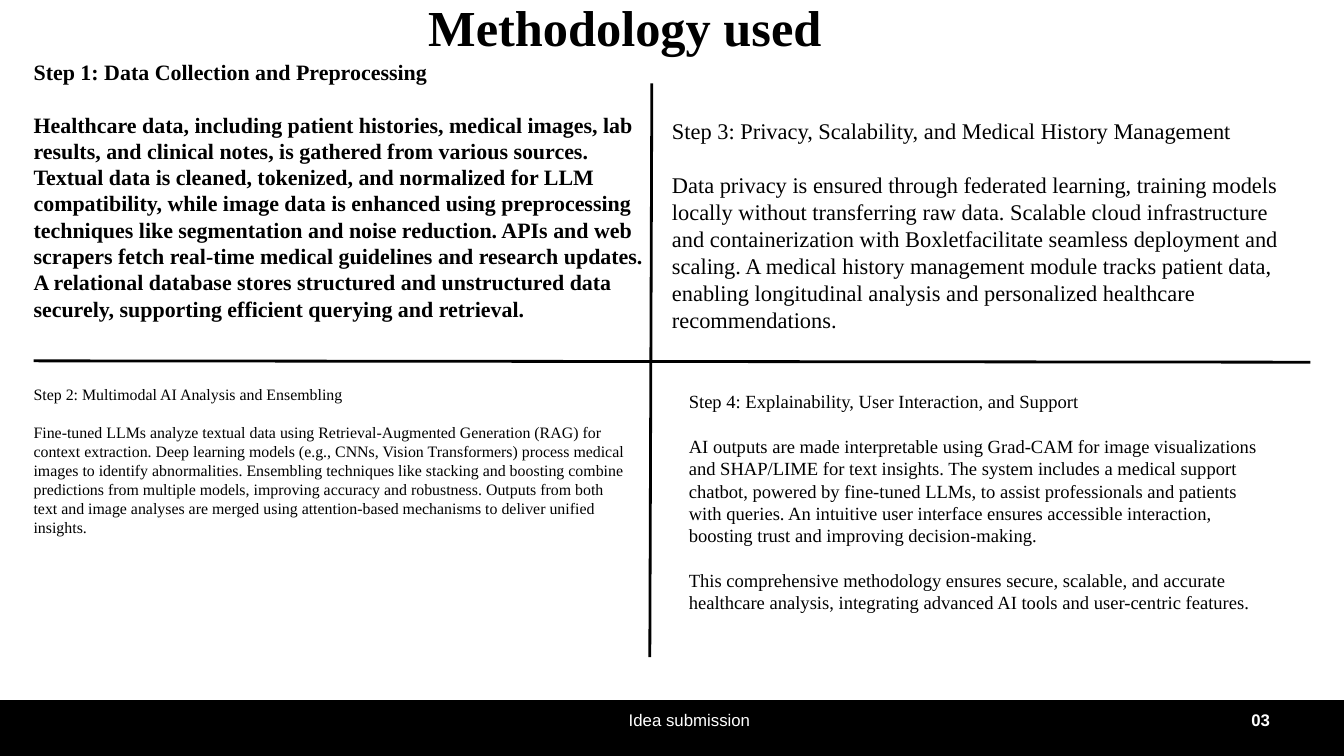
import pptx
import pptx.dml.color
import pptx.enum.shapes
import pptx.enum.text
import pptx.oxml.ns
import pptx.util
from lxml import etree

Inches = pptx.util.Inches
ALIGN = pptx.enum.text.PP_ALIGN
COLORS = {"ink": "000000", "paper": "FFFFFF"}
SERIF = "Times New Roman"
SANS = "Arial"

STEPS = [
    {
        "box": (0.5, 0.87, 9.17, 4.3), "size": 23.5, "leading": 28.2, "bold": True,
        "paragraphs": [
            "Step 1: Data Collection and Preprocessing",
            "Healthcare data, including patient histories, medical images, lab results, and "
            "clinical notes, is gathered from various sources. Textual data is cleaned, "
            "tokenized, and normalized for LLM compatibility, while image data is enhanced "
            "using preprocessing techniques like segmentation and noise reduction. APIs and "
            "web scrapers fetch real-time medical guidelines and research updates. A "
            "relational database stores structured and unstructured data securely, "
            "supporting efficient querying and retrieval.",
        ],
    },
    {
        "box": (0.5, 5.72, 8.9, 2.57), "size": 17, "leading": 20.4,
        "paragraphs": [
            "Step 2: Multimodal AI Analysis and Ensembling",
            "Fine-tuned LLMs analyze textual data using Retrieval-Augmented Generation (RAG) "
            "for context extraction. Deep learning models (e.g., CNNs, Vision Transformers) "
            "process medical images to identify abnormalities. Ensembling techniques like "
            "stacking and boosting combine predictions from multiple models, improving "
            "accuracy and robustness. Outputs from both text and image analyses are merged "
            "using attention-based mechanisms to deliver unified insights.",
        ],
    },
    {
        "box": (10, 1.74, 9.33, 3.22), "size": 24, "leading": 28.9,
        "paragraphs": [
            "Step 3: Privacy, Scalability, and Medical History Management",
            "Data privacy is ensured through federated learning, training models locally "
            "without transferring raw data. Scalable cloud infrastructure and "
            "containerization with Boxletfacilitate seamless deployment and scaling. A "
            "medical history management module tracks patient data, enabling longitudinal "
            "analysis and personalized healthcare recommendations.",
        ],
    },
    {
        "box": (10.25, 5.81, 8.67, 3.97), "size": 19.9, "leading": 23.9,
        "paragraphs": [
            "Step 4: Explainability, User Interaction, and Support",
            "AI outputs are made interpretable using Grad-CAM for image visualizations and "
            "SHAP/LIME for text insights. The system includes a medical support chatbot, "
            "powered by fine-tuned LLMs, to assist professionals and patients with queries. "
            "An intuitive user interface ensures accessible interaction, boosting trust and "
            "improving decision-making.",
            "This comprehensive methodology ensures secure, scalable, and accurate "
            "healthcare analysis, integrating advanced AI tools and user-centric features.",
        ],
    },
]


class SlideBuilder:
    def __init__(self, slide):
        self.slide = slide

    def color(self, name):
        return pptx.dml.color.RGBColor.from_string(COLORS[name])

    def background(self, color):
        fill = self.slide.background.fill
        fill.solid()
        fill.fore_color.rgb = self.color(color)

    def band(self, box, color):
        shape = self.slide.shapes.add_shape(
            pptx.enum.shapes.MSO_SHAPE.RECTANGLE, *map(Inches, box))
        shape.shadow.inherit = False
        shape.fill.solid()
        shape.fill.fore_color.rgb = self.color(color)
        shape.line.fill.background()

    def line(self, start, end, color="ink", width=3):
        connector = self.slide.shapes.add_connector(
            pptx.enum.shapes.MSO_CONNECTOR.STRAIGHT, *map(Inches, start + end))
        connector.line.color.rgb = self.color(color)
        connector.line.width = pptx.util.Pt(width)
        properties = connector.element.find(pptx.oxml.ns.qn("p:spPr"))
        etree.SubElement(properties, pptx.oxml.ns.qn("a:effectLst"))

    def title(self, box, text, **style):
        shape = self.slide.shapes.title
        shape.left, shape.top, shape.width, shape.height = map(Inches, box)
        self.fill_text(shape.text_frame, [text], **style)

    def text(self, box, paragraphs, **style):
        shape = self.slide.shapes.add_textbox(*map(Inches, box))
        self.fill_text(shape.text_frame, paragraphs, **style)

    def fill_text(self, frame, paragraphs, size, leading, font=SERIF, color="ink",
                  bold=False, align=ALIGN.LEFT):
        frame.margin_left = frame.margin_right = 0
        frame.margin_top = frame.margin_bottom = 0
        frame.word_wrap = True
        frame.auto_size = pptx.enum.text.MSO_AUTO_SIZE.NONE
        frame.vertical_anchor = pptx.enum.text.MSO_ANCHOR.TOP
        for index, text in enumerate(paragraphs):
            paragraph = frame.add_paragraph() if index else frame.paragraphs[0]
            paragraph.alignment = align
            paragraph.line_spacing = pptx.util.Pt(leading)
            paragraph.space_before = pptx.util.Pt(leading if index else 0)
            run = paragraph.add_run()
            run.text = text
            run.font.name = font
            run.font.size = pptx.util.Pt(size)
            run.font.bold = bold
            run.font.color.rgb = self.color(color)


def main():
    presentation = pptx.Presentation()
    presentation.slide_width = Inches(20)
    presentation.slide_height = Inches(11.25)
    builder = SlideBuilder(presentation.slides.add_slide(presentation.slide_layouts[5]))

    builder.background("paper")
    builder.band((0, 10.42, 20, 0.83), "ink")
    builder.title((0.4, -0.06, 17.8, 1.89), "Methodology used",
                  size=54, leading=64.8, bold=True, align=ALIGN.CENTER)
    builder.line((0.5, 5.37), (19.5, 5.39))
    builder.line((9.67, 9.78), (9.7, 1.24))
    for step in STEPS:
        builder.text(**step)

    footer = {"size": 18, "leading": 21.6, "font": SANS, "color": "paper"}
    builder.text((7.73, 10.56, 5.06, 0.31), ["Idea submission"],
                 align=ALIGN.CENTER, **footer)
    builder.text((14.43, 10.56, 4.47, 0.31), ["03"],
                 bold=True, align=ALIGN.RIGHT, **footer)
    presentation.save("out.pptx")


if __name__ == "__main__":
    main()
